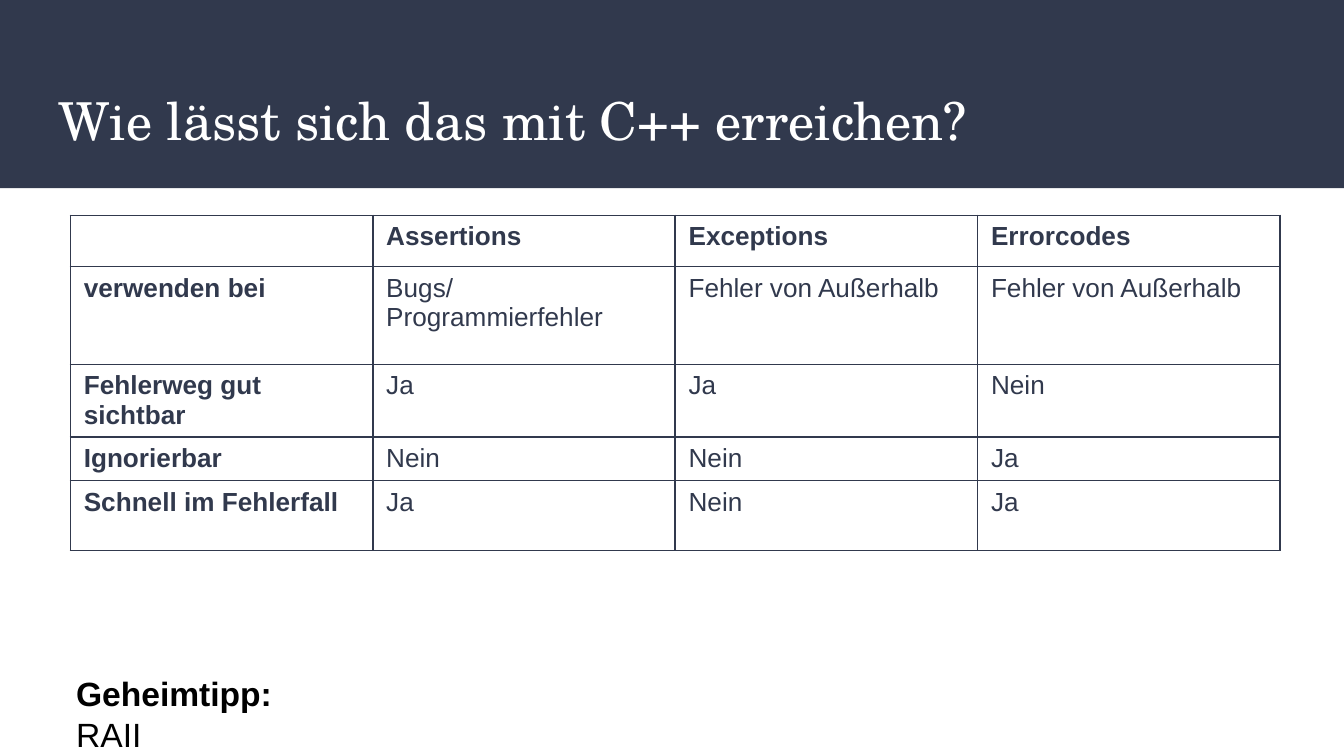
"""Builds a slide that compares ways of handling errors in C++."""
import pptx
import pptx.dml.color
import pptx.enum.shapes
import pptx.enum.text
import pptx.oxml
import pptx.oxml.ns
import pptx.util

Cm = pptx.util.Cm
NAVY = "31394D"
WHITE = "FFFFFF"


def color(code):
    """Turns a hex string into a colour."""
    return pptx.dml.color.RGBColor.from_string(code)


def write(para, text, size=14, face="Arial", ink=NAVY, bold=False):
    """Adds a formatted run to a paragraph."""
    run = para.add_run()
    run.text = text
    run.font.size = pptx.util.Pt(size)
    run.font.name = face
    run.font.bold = bold
    run.font.color.rgb = color(ink)


deck = pptx.Presentation()
deck.slide_width, deck.slide_height = Cm(25.4), Cm(14.29)
slide = deck.slides.add_slide(deck.slide_layouts[5])

band = slide.shapes.add_shape(
    pptx.enum.shapes.MSO_SHAPE.RECTANGLE, 0, 0, deck.slide_width, Cm(3.56))
band.shadow.inherit = False
band.fill.solid()
band.fill.fore_color.rgb = color(NAVY)
band.line.fill.background()

title = slide.shapes.title
band._element.addnext(title._element)
title.left, title.top, title.width, title.height = Cm(0.86), Cm(1.4), Cm(23.67), Cm(1.73)
frame = title.text_frame
frame.margin_left = frame.margin_right = Cm(0.25)
frame.margin_top = frame.margin_bottom = Cm(0.25)
frame.auto_size = pptx.enum.text.MSO_AUTO_SIZE.NONE
frame.vertical_anchor = pptx.enum.text.MSO_ANCHOR.MIDDLE
frame.paragraphs[0].alignment = pptx.enum.text.PP_ALIGN.LEFT
write(frame.paragraphs[0], "Wie lässt sich das mit C++ erreichen?",
      size=28, face="TeX Gyre Schola", ink=WHITE)

rows = [
    ["", "Assertions", "Exceptions", "Errorcodes"],
    ["verwenden bei", "Bugs/Programmierfehler", "Fehler von Außerhalb", "Fehler von Außerhalb"],
    ["Fehlerweg gut sichtbar", "Ja", "Ja", "Nein"],
    ["Ignorierbar", "Nein", "Nein", "Ja"],
    ["Schnell im Fehlerfall", "Ja", "Nein", "Ja"],
]
heights = [0.97, 1.85, 1.36, 0.83, 1.32]
grid = slide.shapes.add_table(
    len(rows), len(rows[0]), Cm(1.33), Cm(4.07), Cm(22.86), Cm(sum(heights))).table
for row, height in zip(grid.rows, heights):
    row.height = Cm(height)
for r, words in enumerate(rows):
    for c, word in enumerate(words):
        cell = grid.cell(r, c)
        write(cell.text_frame.paragraphs[0], word, bold=r == 0 or c == 0)
        props = cell._tc.get_or_add_tcPr()
        for side in "LRTB":
            props.append(pptx.oxml.parse_xml(
                f'<a:ln{side} {pptx.oxml.ns.nsdecls("a")} w="12192"><a:solidFill>'
                f'<a:srgbClr val="{NAVY}"/></a:solidFill></a:ln{side}>'))
        cell.fill.solid()
        cell.fill.fore_color.rgb = color(WHITE)

tip = slide.shapes.add_textbox(Cm(1.19), Cm(12.6), Cm(5.61), Cm(0.97)).text_frame
tip.word_wrap = False
tip.auto_size = pptx.enum.text.MSO_AUTO_SIZE.SHAPE_TO_FIT_TEXT
write(tip.paragraphs[0], "Geheimtipp:", size=18, ink="000000", bold=True)
write(tip.paragraphs[0], " RAII", size=18, ink="000000")

deck.save("out.pptx")
